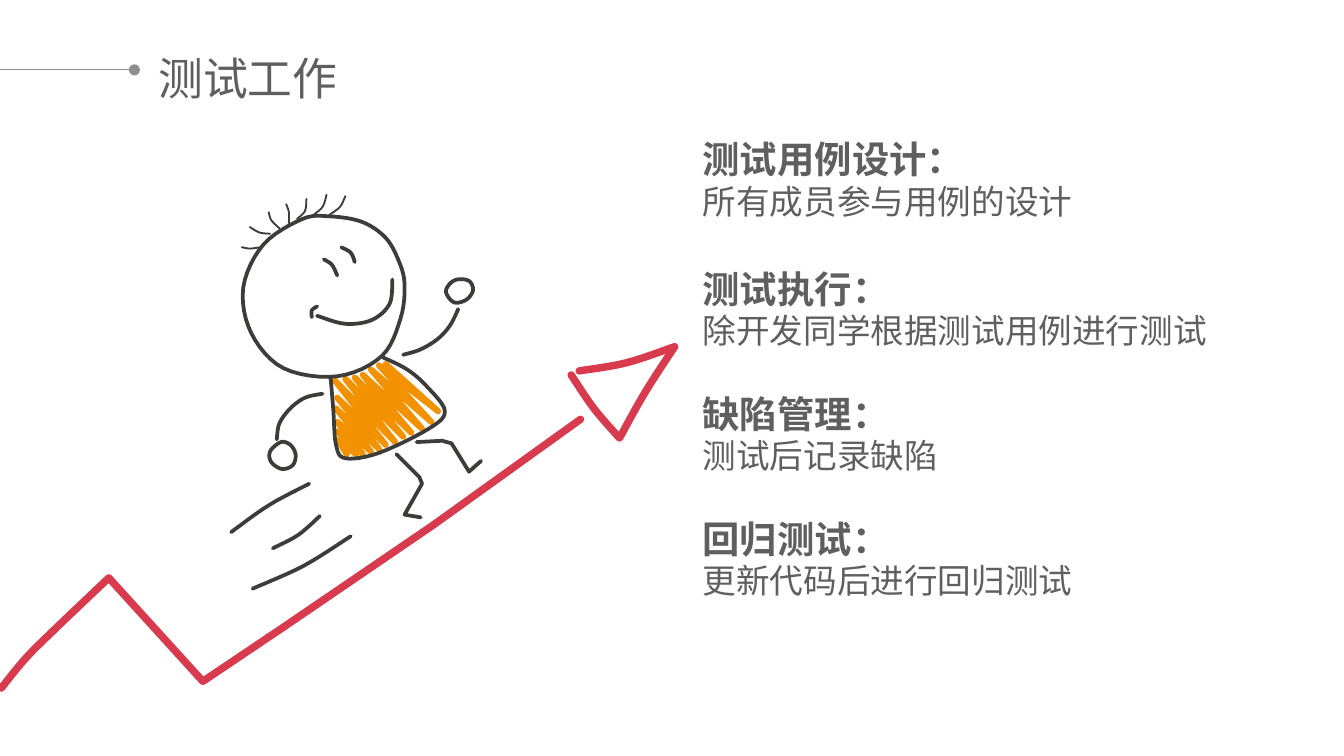
from itertools import chain

from lxml import etree
from pptx import Presentation
from pptx.dml.color import RGBColor
from pptx.enum.shapes import MSO_CONNECTOR
from pptx.oxml.ns import qn
from pptx.util import Emu, Pt

PX = 9144  # one px is a hundredth of an inch
STRAIGHT = MSO_CONNECTOR.STRAIGHT
FONT = "Noto Sans CJK SC"
GREY, RULE, RED, INK, GOLD = "5F5F5F", "8E8E8E", "D83B4E", "3C3C3B", "F39200"
STEPS = 6  # straight pieces per curve piece


def px(n):
    return Emu(round(n * PX))


def rgb(code):
    return RGBColor.from_string(code)


def smooth(pts, loop=False):
    """Points of a Catmull-Rom curve through pts."""
    ends = [pts[-1], *pts, *pts[:2]] if loop else [pts[0], *pts, pts[-1]]
    out = [pts[0]]
    for quad in zip(ends, ends[1:], ends[2:], ends[3:]):
        for step in range(1, STEPS + 1):
            t = step / STEPS
            out.append(tuple(
                (2 * b + (c - a) * t + (2 * a - 5 * b + 4 * c - d) * t ** 2
                 + (3 * b - a - 3 * c + d) * t ** 3) / 2
                for a, b, c, d in zip(*quad)))
    return out


class Page:
    def __init__(self, slide):
        self.slide = slide
        self.group = None

    def start(self):
        self.group = self.slide.shapes.add_group_shape()

    def rule(self, x1, y1, x2, y2, color, width):
        line = self.slide.shapes.add_connector(
            STRAIGHT, px(x1), px(y1), px(x2), px(y2))
        line.line.color.rgb = rgb(color)
        line.line.width = Pt(width)
        etree.SubElement(line.line._get_or_add_ln(), qn("a:tailEnd"), type="oval")
        etree.SubElement(line._element.spPr, qn("a:effectLst"))

    def stroke(self, color, width, *paths):
        """One pen stroke shape, made of one or more paths."""
        pen = None
        for path in paths:
            first, *rest = [(px(x), px(y)) for x, y in path]
            if pen:
                pen.move_to(*first)
            else:
                pen = self.group.shapes.build_freeform(*first)
            pen.add_line_segments(rest, close=path[0] == path[-1])
        shape = pen.convert_to_shape()
        shape.shadow.inherit = False
        shape.fill.background()
        shape.line.color.rgb = rgb(color)
        shape.line.width = Pt(width)
        edge = shape.line._get_or_add_ln()
        edge.set("cap", "rnd")
        etree.SubElement(edge, qn("a:round"))

    def text(self, x, y, w, h, rows):
        """Rows are (text, size, bold, line height, space before)."""
        box = self.slide.shapes.add_textbox(px(x), px(y), px(w), px(h))
        frame = box.text_frame
        frame.word_wrap = True
        for i, (words, size, bold, high, gap) in enumerate(rows):
            para = frame.add_paragraph() if i else frame.paragraphs[0]
            run = para.add_run()
            run.text = words
            form = {"line_spacing": Pt(high), "space_before": Pt(gap)}
            face = {"name": FONT, "size": Pt(size), "bold": bold}
            for part, values in ((para, form), (run.font, face)):
                for key, value in values.items():
                    setattr(part, key, value)
            run.font.color.rgb = rgb(GREY)
            etree.SubElement(run._r.get_or_add_rPr(), qn("a:ea"), typeface=FONT)


# Rising arrow
TRAIL = [(1, 512), (19, 490), (39, 470), (81, 430)]
CLIMB = [(151, 507), (212, 466), (322, 391), (432, 312)]
TIP = [
    [(431, 276), (466, 270), (502, 258)],
    [(502, 258), (480, 292), (461, 326)],
    [(461, 326), (442, 304), (425, 279)],
]

# Shirt scribble: upper and lower ends of the pen sweeps
UPPER = [(287, 271), (282, 272), (276, 275), (270, 279), (264, 281), (257, 282),
         (249, 283), (251, 296), (250, 304), (251, 314), (251, 321), (252, 328)]
LOWER = [(326, 306), (321, 314), (314, 319), (306, 322), (300, 325), (294, 329),
         (287, 331), (282, 334), (276, 336), (270, 338), (265, 338), (258, 338)]

# Runner
HEAD = [(225, 163), (245, 161), (269, 165), (287, 177), (297, 195), (301, 212),
        (298, 237), (284, 265), (251, 280), (211, 274), (187, 248), (181, 214),
        (196, 182)]
SHIRT = [(246, 281), (248, 305), (250, 331), (257, 341), (282, 337), (319, 319),
         (331, 306), (318, 288), (303, 275), (285, 266)]
HAIR = [
    [(257, 146), (253, 154), (245, 160)],
    [(243, 145), (240, 154), (232, 161)],
    [(228, 148), (227, 157), (221, 163)],
    [(213, 152), (215, 158), (215, 166)],
    [(200, 158), (202, 164), (208, 170)],
    [(186, 169), (193, 173), (201, 174)],
    [(180, 184), (186, 185), (194, 184)],
]
HANDS = [
    [(349, 209), (340, 208), (334, 212), (332, 218), (338, 225), (347, 223),
     (352, 216)],
    [(209, 329), (201, 336), (202, 344), (210, 349), (218, 346), (220, 338),
     (216, 331)],
]
LEGS = [
    [(310, 329), (329, 328), (336, 330), (349, 351), (358, 343)],
    [(295, 338), (312, 355), (314, 360), (301, 383), (313, 385)],
]
CURVES = [
    [(300, 264), (313, 260), (326, 252), (335, 242), (341, 230)],  # arms
    [(240, 293), (227, 296), (216, 304), (208, 315), (206, 327)],
    [(292, 208), (290, 226), (277, 238), (257, 241), (236, 235)],  # smile
    [(236, 228), (232, 231), (232, 236)],
    [(241, 193), (247, 197), (251, 205)],  # eyes
    [(254, 184), (261, 188), (264, 195)],
    [(261, 399), (226, 421), (188, 438)],  # speed lines
    [(238, 384), (222, 398), (203, 408)],
    [(230, 360), (200, 376), (172, 396)],
]

# Heading, detail and space before
TASKS = [
    ("测试用例设计：", "所有成员参与用例的设计", 0),
    ("测试执行：", "除开发同学根据测试用例进行测试", 24.5),
    ("缺陷管理：", "测试后记录缺陷", 22),
    ("回归测试：", "更新代码后进行回归测试", 22),
]


def main():
    deck = Presentation()
    deck.slide_width = px(1000)
    deck.slide_height = deck.slide_width * 9 // 16
    page = Page(deck.slides.add_slide(deck.slide_layouts[6]))

    # Title rule
    page.rule(0, 52, 100, 52, RULE, 0.5)

    # Drawing
    page.start()
    page.stroke(RED, 4, smooth(TRAIL) + CLIMB)
    page.stroke(RED, 4, list(chain.from_iterable(map(smooth, TIP))))
    page.stroke(GOLD, 3.25, list(chain.from_iterable(zip(UPPER, LOWER))))
    page.stroke(INK, 2, smooth(HEAD, True), smooth(SHIRT))
    page.stroke(INK, 1, *map(smooth, HAIR))
    for hand in HANDS:
        page.stroke(INK, 2, smooth(hand, True))
    for leg in LEGS:
        page.stroke(INK, 2, leg)
    for curve in CURVES:
        page.stroke(INK, 2, smooth(curve))

    # Title and tasks
    page.text(108, 33, 201, 50, [("测试工作", 24, False, 28.5, 0)])
    rows = [((head, 20, True, 23.5, gap), (body, 18, False, 21.5, 0))
            for head, body, gap in TASKS]
    page.text(513, 97, 463, 360, chain.from_iterable(rows))

    deck.save("out.pptx")


if __name__ == "__main__":
    main()
